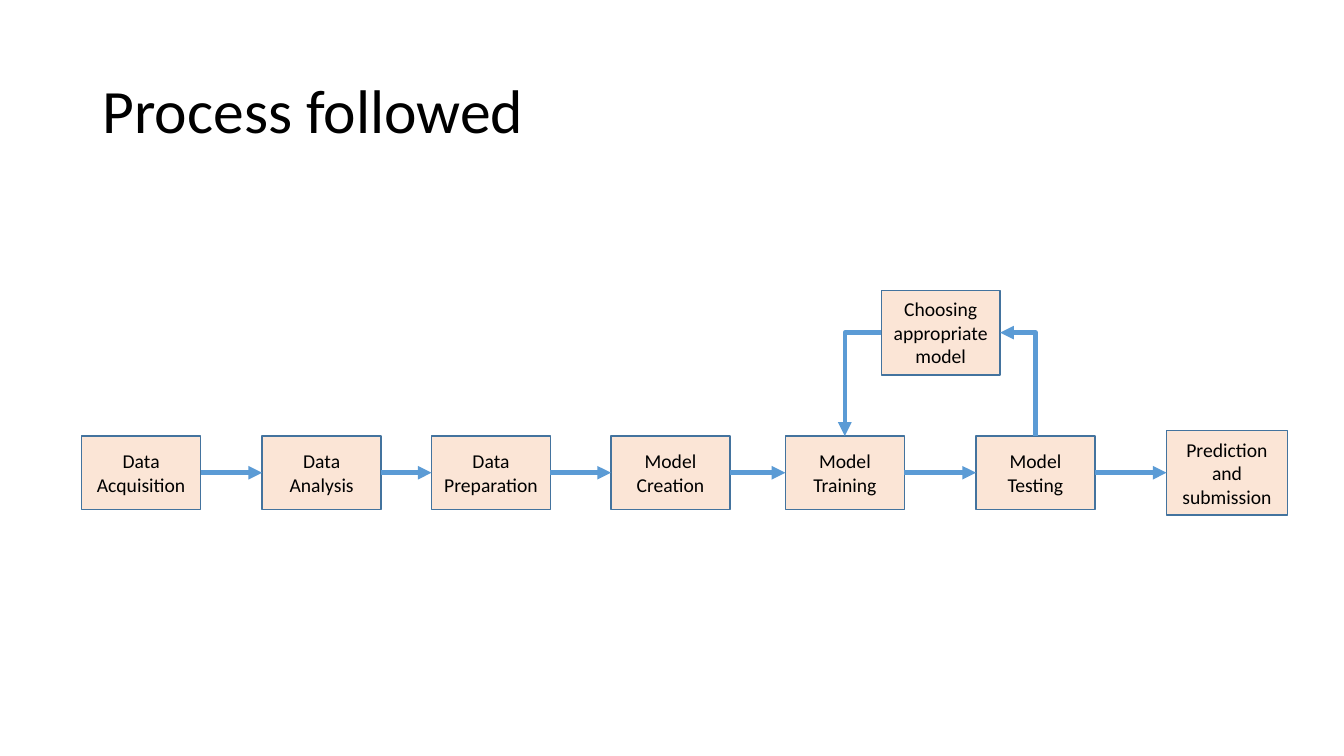
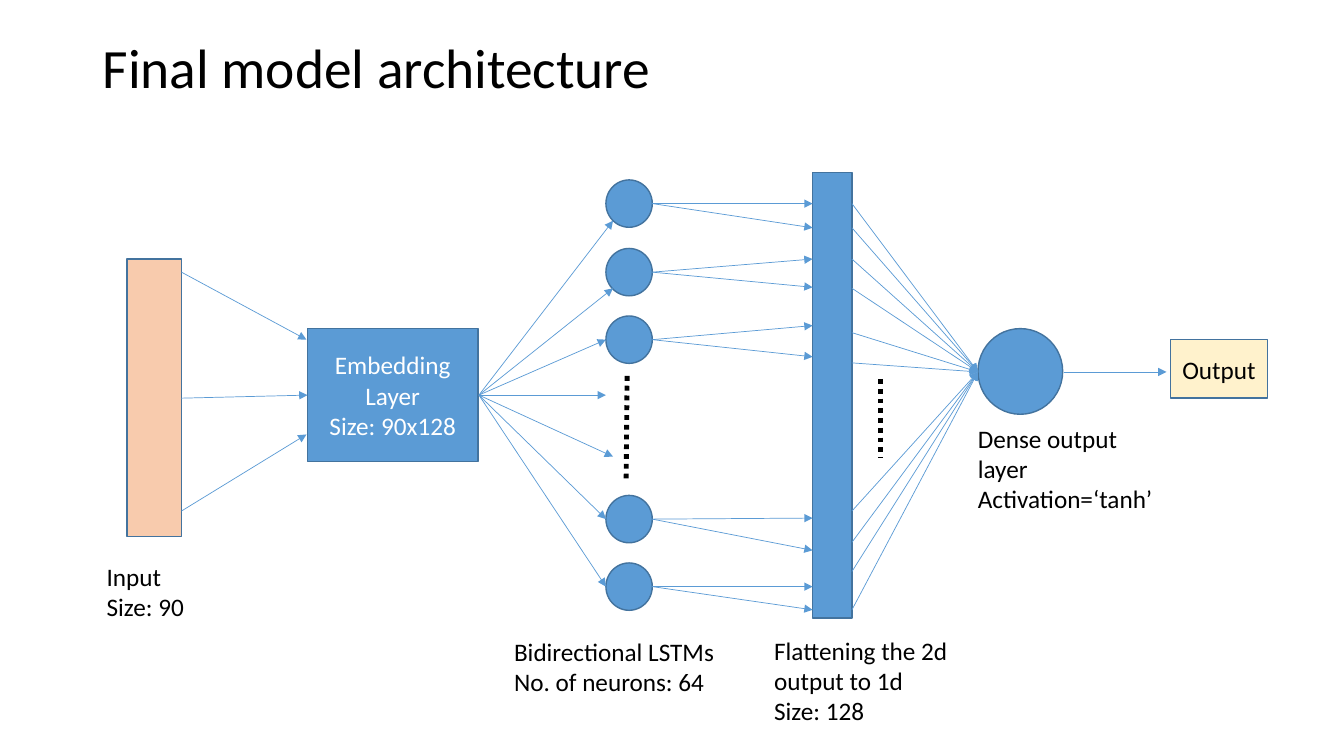
from dataclasses import dataclass
from pptx import Presentation
from pptx.dml.color import RGBColor
from pptx.enum import dml, shapes, text
from pptx.oxml import ns, xmlchemy
from pptx.util import Inches, Pt

FONT = "Calibri"
HEX = {"black": "000000", "white": "FFFFFF", "blue": "5B9BD5", "edge": "43739E",
       "pale": "FBE5D6", "peach": "F8CBAD", "cream": "FFF2CC"}
RECT = shapes.MSO_SHAPE.RECTANGLE
OVAL = shapes.MSO_SHAPE.OVAL
Point = tuple[float, float]


@dataclass
class Box:
    left: float
    top: float
    wide: float
    high: float
    words: str = ""
    fill: str = "blue"
    ink: str = "black"
    size: float = 18
    kind: int = RECT

    @property
    def area(self) -> list:
        return [Inches(n) for n in (self.left, self.top, self.wide, self.high)]


def rgb(name: str) -> RGBColor:
    return RGBColor.from_string(HEX[name])


# Shared parts
def write(frame, box: Box, align=None, space=None) -> None:
    frame.word_wrap = True
    frame.text = box.words
    for para in frame.paragraphs:
        para.alignment = align
        para.line_spacing = space
        para.font.name = FONT
        para.font.size = Pt(box.size)
        para.font.color.rgb = rgb(box.ink)


def title(slide, box: Box) -> None:
    frame = slide.shapes.add_textbox(*box.area).text_frame
    write(frame, box, space=0.9)
    frame.vertical_anchor = text.MSO_ANCHOR.MIDDLE


def label(slide, box: Box) -> None:
    frame = slide.shapes.add_textbox(*box.area).text_frame
    write(frame, box)
    frame.auto_size = text.MSO_AUTO_SIZE.SHAPE_TO_FIT_TEXT


def draw(slide, box: Box):
    item = slide.shapes.add_shape(box.kind, *box.area)
    item.shadow.inherit = False
    item.fill.solid()
    item.fill.fore_color.rgb = rgb(box.fill)
    item.line.color.rgb = rgb("edge")
    item.line.width = Pt(1)
    if box.words:
        write(item.text_frame, box, text.PP_ALIGN.CENTER)
        item.text_frame.vertical_anchor = text.MSO_ANCHOR.MIDDLE
    return item


def link(slide, start: Point, end: Point, width: float = 0.5, color: str = "blue",
         dots: bool = False, kind=shapes.MSO_CONNECTOR.STRAIGHT):
    wire = slide.shapes.add_connector(kind, *[Inches(n) for n in (*start, *end)])
    wire.line.color.rgb = rgb(color)
    wire.line.width = Pt(width)
    props = wire.element.spPr
    if dots:
        wire.line.dash_style = dml.MSO_LINE.ROUND_DOT
    else:
        tip = xmlchemy.OxmlElement("a:tailEnd")
        tip.set("type", "triangle")
        props.find(ns.qn("a:ln")).append(tip)
    props.append(xmlchemy.OxmlElement("a:effectLst"))
    return wire


def bend(slide, start: Point, end: Point, width: float, rise: bool = False) -> None:
    """Draw a one-corner arrow; rise makes its first leg vertical."""
    if rise:
        mid = [(a + b) / 2 for a, b in zip(start, end)]
        start, end = [(mid[0] - (y - mid[1]), mid[1] + (x - mid[0]))
                      for x, y in (start, end)]
    wire = link(slide, start, end, width, kind=shapes.MSO_CONNECTOR.ELBOW)
    props = wire.element.spPr
    props.find(ns.qn("a:prstGeom")).set("prst", "bentConnector2")
    if rise:
        props.find(ns.qn("a:xfrm")).set("rot", str(270 * 60000))


deck = Presentation()
deck.slide_width, deck.slide_height = Inches(13.33), Inches(7.5)
blank = deck.slide_layouts[6]

# Process slide
flow = deck.slides.add_slide(blank)
title(flow, Box(0.92, 0.4, 11.5, 1.45, "Process followed", size=44))
AXIS, BOLD, LOOP = 4.69, 3.25, 3.3
STEPS = [
    (0.81, 1.18, 0.73, "Data Acquisition"),
    (2.6, 1.18, 0.73, "Data Analysis"),
    (4.28, 1.18, 0.73, "Data Preparation"),
    (6.06, 1.18, 0.73, "Model Creation"),
    (7.79, 1.18, 0.73, "Model Training"),
    (9.68, 1.18, 0.73, "Model Testing"),
    (11.57, 1.2, 0.84, "Prediction and submission"),
]
steps = [Box(x, AXIS - h / 2, w, h, words, "pale", size=14) for x, w, h, words in STEPS]
pick = Box(8.74, LOOP - 0.42, 1.18, 0.84, "Choosing appropriate model", "pale", size=14)
for box in [*steps, pick]:
    draw(flow, box)
for box, after in zip(steps, steps[1:]):
    link(flow, (box.left + box.wide, AXIS), (after.left, AXIS), BOLD)
train, test = steps[4:6]
bend(flow, (test.left + test.wide / 2, test.top), (pick.left + pick.wide, LOOP),
     BOLD, rise=True)
bend(flow, (pick.left, LOOP), (train.left + train.wide / 2, train.top), BOLD)

# Architecture slide
net = deck.slides.add_slide(blank)
title(net, Box(0.92, 0.4, 11.5, 0.6, "Final model architecture", size=39.6))

# Layers
CELLS = {2.02: (2.02, 2.26), 2.7: (2.57, 2.85), 3.37: (3.23, 3.54),
         5.15: (5.14, 5.46), 5.82: (5.82, 6.05)}
for y in CELLS:
    draw(net, Box(6.01, y - 0.235, 0.46, 0.47, kind=OVAL))
for box in (
    Box(3.05, 3.26, 1.69, 1.32, "Embedding Layer\nSize: 90x128", ink="white"),
    Box(9.7, 3.26, 0.84, 0.85, kind=OVAL),
    Box(1.26, 2.57, 0.54, 2.75, fill="peach"),
    Box(8.06, 1.71, 0.39, 4.42),
    Box(11.61, 3.37, 0.96, 0.58, "Output", "cream"),
):
    draw(net, box)

# Arrows between layers
for start, end in ((2.7, (3.04, 3.37)), (3.95, (3.05, 3.92)), (5.07, (3.04, 4.31))):
    link(net, (1.8, start), end)
for end in ((6.08, 2.19), (6.08, 2.86), (6.01, 3.37), (6.01, 3.92),
            (6.08, 4.53), (6.01, 5.15), (6.01, 5.82)):
    link(net, (4.75, 3.92), end)
for y, ends in CELLS.items():
    for end in ends:
        link(net, (6.47, y), (8.06, end))
for y in (2.02, 2.26, 2.57, 2.86, 3.3, 3.6, 5.07, 5.38, 5.67, 6.05):
    link(net, (8.45, y), (9.7, 3.69))
link(net, (10.55, 3.69), (11.57, 3.69))

# Dotted gaps
for start, end in (((6.22, 3.73), (6.21, 4.79)), ((8.73, 3.76), (8.73, 4.54))):
    link(net, start, end, 3.5, "black", dots=True)

# Captions
for box in (
    Box(0.96, 5.52, 1.13, 0.71, "Input\nSize: 90"),
    Box(5, 6.26, 2.42, 0.71, "Bidirectional LSTMs\nNo. of neurons: 64"),
    Box(7.58, 6.25, 2, 1.01, "Flattening the 2d output to 1d\nSize: 128"),
    Box(9.6, 4.15, 2.02, 1.01, "Dense output layer\nActivation=‘tanh’"),
):
    label(net, box)

deck.save("out.pptx")
